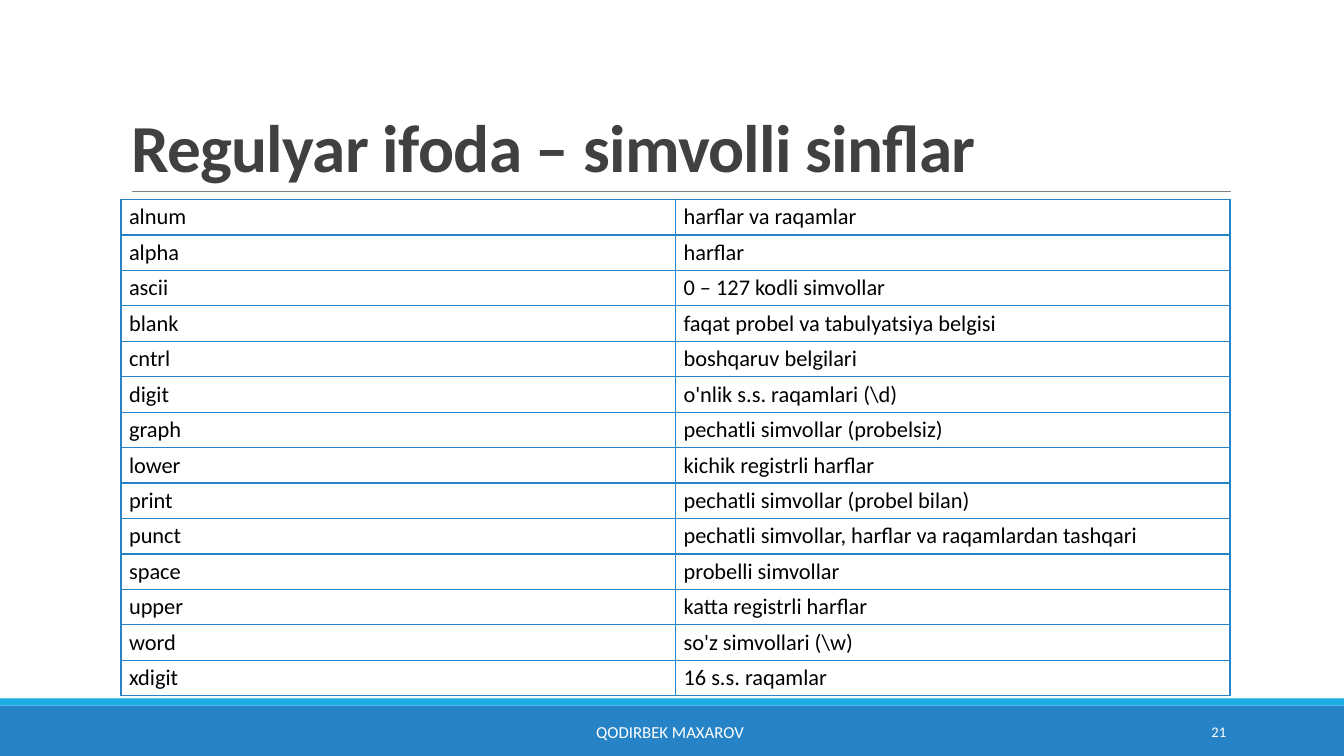
from lxml import etree
from pptx import Presentation
from pptx.dml.color import RGBColor
from pptx.enum import shapes, text
from pptx.oxml import ns
from pptx.util import Inches, Pt

TITLE = "Regulyar ifoda – simvolli sinflar"
AUTHOR = "QODIRBEK MAXAROV "
PAGE = "21"
CLASSES = [
    ("alnum", "harflar va raqamlar"),
    ("alpha", "harflar"),
    ("ascii", "0 – 127 kodli simvollar"),
    ("blank", "faqat probel va tabulyatsiya belgisi"),
    ("cntrl", "boshqaruv belgilari"),
    ("digit", "o'nlik s.s. raqamlari (\\d)"),
    ("graph", "pechatli simvollar (probelsiz)"),
    ("lower", "kichik registrli harflar"),
    ("print", "pechatli simvollar (probel bilan)"),
    ("punct", "pechatli simvollar, harflar va raqamlardan tashqari"),
    ("space", "probelli simvollar"),
    ("upper", "katta registrli harflar"),
    ("word", "so'z simvollari (\\w)"),
    ("xdigit", "16 s.s. raqamlar"),
]
COLORS = {"blue": "2683C6", "cyan": "1CADE4", "rule": "808080",
          "title": "404040", "text": "000000", "footer": "FFFFFF"}
FONT = "Calibri"
WIDTH, HEIGHT = 13.33, 7.5
LEFT, TABLE_WIDTH, ROW_HEIGHT = 1.2, 11, 0.35


def color(name):
    return RGBColor.from_string(COLORS[name])


def add_run(paragraph, words, size, tint, bold=False):
    run = paragraph.add_run()
    run.text = words
    run.font.name, run.font.size, run.font.bold = FONT, Pt(size), bold
    run.font.color.rgb = color(tint)
    return run


def add_strip(slide, top, height, tint):
    strip = slide.shapes.add_shape(shapes.MSO_SHAPE.RECTANGLE, 0, Inches(top),
                                   Inches(WIDTH), Inches(height))
    strip.shadow.inherit = False
    strip.fill.solid()
    strip.fill.fore_color.rgb = color(tint)
    strip.line.fill.background()


def add_footer(slide, left, width, words, size, align):
    footer = slide.shapes.add_textbox(Inches(left), Inches(7.06),
                                      Inches(width), Inches(0.4)).text_frame
    footer.word_wrap = True
    footer.vertical_anchor = text.MSO_ANCHOR.MIDDLE
    footer.paragraphs[0].alignment = align
    add_run(footer.paragraphs[0], words, size, "footer")


def set_borders(cell, tint):
    properties = cell._tc.get_or_add_tcPr()
    for index, side in enumerate(("a:lnL", "a:lnR", "a:lnT", "a:lnB")):
        border = etree.Element(ns.qn(side), w=str(Pt(1)))
        fill = etree.SubElement(border, ns.qn("a:solidFill"))
        etree.SubElement(fill, ns.qn("a:srgbClr"), val=COLORS[tint])
        properties.insert(index, border)


def main():
    deck = Presentation()
    deck.slide_width, deck.slide_height = Inches(WIDTH), Inches(HEIGHT)
    slide = deck.slides.add_slide(deck.slide_layouts[5])

    # Bottom strips and the rule below the title
    add_strip(slide, 7, 0.5, "blue")
    add_strip(slide, 6.93, 0.07, "cyan")
    rule = slide.shapes.add_connector(shapes.MSO_CONNECTOR.STRAIGHT, Inches(1.31),
                                      Inches(1.9), Inches(12.21), Inches(1.9))
    rule.line.color.rgb = color("rule")
    rule.line.width = Pt(0.5)
    etree.SubElement(rule._element.spPr, ns.qn("a:effectLst"))

    # Title
    title = slide.shapes.title
    title.left, title.top = Inches(LEFT), Inches(0.31)
    title.width, title.height = Inches(TABLE_WIDTH), Inches(1.59)
    title.text_frame.vertical_anchor = text.MSO_ANCHOR.BOTTOM
    title.text_frame.auto_size = text.MSO_AUTO_SIZE.NONE
    heading = title.text_frame.paragraphs[0]
    heading.alignment = text.PP_ALIGN.LEFT
    heading.line_spacing = 0.85
    heading_run = add_run(heading, TITLE, 48, "title", bold=True)
    heading_run.font._element.set("spc", "-50")

    # Table of character classes
    classes = slide.shapes.add_table(
        len(CLASSES), 2, Inches(LEFT), Inches(1.98), Inches(TABLE_WIDTH),
        Inches(ROW_HEIGHT * len(CLASSES))).table
    classes.first_row = classes.horz_banding = False
    for row, entry in enumerate(CLASSES):
        for column, words in enumerate(entry):
            cell = classes.cell(row, column)
            cell.fill.background()
            cell.vertical_anchor = text.MSO_ANCHOR.MIDDLE
            cell.margin_left = cell.margin_right = Inches(0.08)
            cell.margin_top = cell.margin_bottom = Inches(0.04)
            add_run(cell.text_frame.paragraphs[0], words, 16, "text")
            set_borders(cell, "blue")

    # Footer
    add_footer(slide, 4.03, 5.27, AUTHOR, 12, text.PP_ALIGN.CENTER)
    add_footer(slide, 10.83, 1.43, PAGE, 10.5, text.PP_ALIGN.RIGHT)

    deck.save("out.pptx")


if __name__ == "__main__":
    main()
